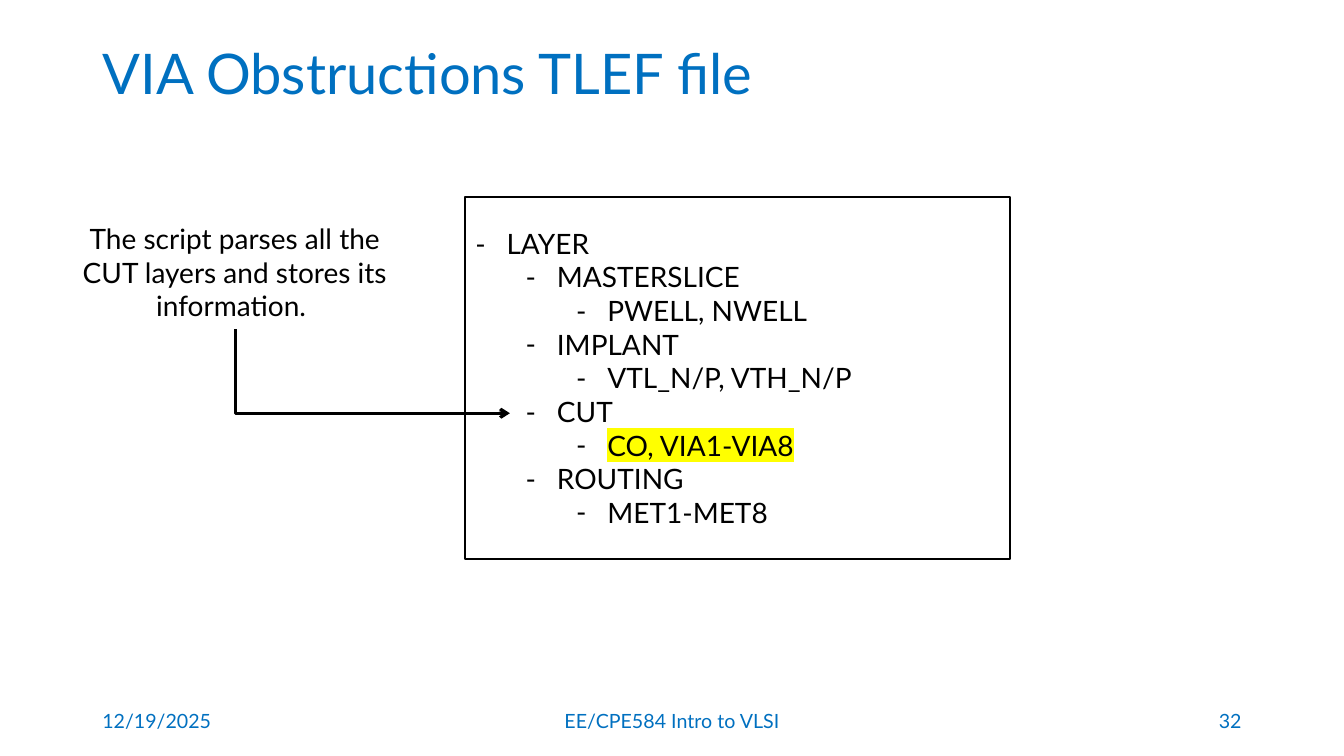
from lxml import etree
from pptx import Presentation
from pptx.dml.color import RGBColor
from pptx.enum.shapes import MSO_CONNECTOR, MSO_SHAPE
from pptx.enum.text import MSO_ANCHOR, PP_ALIGN
from pptx.oxml.ns import qn
from pptx.util import Inches, Pt

RECT = MSO_SHAPE.RECTANGLE
ELBOW = MSO_CONNECTOR.ELBOW
LEFT, CENTER, RIGHT = PP_ALIGN.LEFT, PP_ALIGN.CENTER, PP_ALIGN.RIGHT
TOP, MIDDLE = MSO_ANCHOR.TOP, MSO_ANCHOR.MIDDLE
BLUE = RGBColor(0x00, 0x70, 0xC0)
BLACK = RGBColor(0, 0, 0)
WHITE = RGBColor(255, 255, 255)
YELLOW = RGBColor(255, 255, 0)
COLS, ROWS = 160, 90
LAYERS = [
    ("MASTERSLICE", "PWELL, NWELL"),
    ("IMPLANT", "VTL_N/P, VTH_N/P"),
    ("CUT", "CO, VIA1-VIA8"),
    ("ROUTING", "MET1-MET8"),
]


def write(para, text, font="Lato", size=20, color=BLACK, align=LEFT, mark=None):
    """Put one formatted run of text into a paragraph."""
    para.alignment = align
    run = para.add_run()
    run.text = text
    run.font.size = Pt(size)
    run.font.color.rgb = color
    run.font.name = font
    if mark is not None:
        tint = etree.Element(qn("a:highlight"))
        etree.SubElement(tint, qn("a:srgbClr"), val=str(mark))
        run.font._element.find(qn("a:latin")).addprevious(tint)


class Deck:
    """Draws styled elements on a slide laid out as a grid of square cells."""

    def __init__(self):
        """Open a wide deck with one title-only slide."""
        self.show = Presentation()
        self.show.slide_width = Inches(13.33)
        self.show.slide_height = Inches(7.5)
        self.slide = self.show.slides.add_slide(self.show.slide_layouts[5])

    def cells(self, *spans):
        """Turn alternating column and row counts into lengths."""
        units = self.show.slide_width / COLS, self.show.slide_height / ROWS
        return [round(span * units[i % 2]) for i, span in enumerate(spans)]

    def title(self, text, *spot):
        """Fill and place the title."""
        head = self.slide.shapes.title
        head.left, head.top, head.width, head.height = self.cells(*spot)
        head.text_frame.vertical_anchor = MIDDLE
        para = head.text_frame.paragraphs[0]
        para.line_spacing = 0.9
        write(para, text, size=40, color=BLUE)

    def label(self, text, *spot, anchor=MIDDLE, **style):
        """Add a wrapped text box."""
        frame = self.slide.shapes.add_textbox(*self.cells(*spot)).text_frame
        frame.word_wrap = True
        frame.vertical_anchor = anchor
        write(frame.paragraphs[0], text, **style)

    def outline(self, items, *spot):
        """Add a framed list of (level, text, mark) items with dashes."""
        box = self.slide.shapes.add_shape(RECT, *self.cells(*spot))
        box.shadow.inherit = False
        box.fill.solid()
        box.fill.fore_color.rgb = WHITE
        box.line.color.rgb = BLACK
        box.line.width = Pt(1.5)
        frame = box.text_frame
        frame.vertical_anchor = MIDDLE
        for i, (level, text, mark) in enumerate(items):
            para = frame.add_paragraph() if i else frame.paragraphs[0]
            para.level = level
            props = para._p.get_or_add_pPr()
            props.set("marL", str(Inches(0.31 + level / 2)))
            props.set("indent", str(Inches(-0.31)))
            etree.SubElement(props, qn("a:buFont"), typeface="Lato")
            etree.SubElement(props, qn("a:buChar"), char="-")
            write(para, text, mark=mark)

    def arrow(self, x1, y1, x2, y2):
        """Add an arrow that runs down, then right."""
        midx, midy = (x1 + x2) / 2, (y1 + y2) / 2
        halfw, halfh = (y2 - y1) / 2, (x2 - x1) / 2
        ends = self.cells(midx + halfw, midy - halfh, midx - halfw, midy + halfh)
        link = self.slide.shapes.add_connector(ELBOW, *ends)
        link.line.color.rgb = BLACK
        link.line.width = Pt(2.25)
        props = link._element.spPr
        props.find(qn("a:xfrm")).set("rot", str(270 * 60000))
        props.find(qn("a:prstGeom")).set("prst", "bentConnector2")
        etree.SubElement(props.find(qn("a:ln")), qn("a:tailEnd"), type="arrow")
        etree.SubElement(props, qn("a:effectLst"))


def main():
    """Build and save the slide."""
    deck = Deck()
    deck.title("VIA Obstructions TLEF file", 11, 0.4, 138, 17.4)
    items = [(0, "LAYER", None)]
    for kind, names in LAYERS:
        items.append((1, kind, None))
        items.append((2, names, YELLOW if kind == "CUT" else None))
    deck.outline(items, 55.4, 23.4, 64.8, 43.1)
    deck.label("The script parses all the CUT layers and stores its information. ",
               7, 25.8, 41.9, 13.3, anchor=TOP, align=CENTER)
    deck.arrow(28, 39.2, 60.7, 49.2)
    for text, col, width, align in [
        ("12/19/2025", 11, 36, LEFT),
        ("EE/CPE584 Intro to VLSI", 53, 54, CENTER),
        ("32", 113, 36, RIGHT),
    ]:
        deck.label(text, col, 83.4, width, 4.8, size=14, color=BLUE, align=align)
    deck.show.save("out.pptx")


if __name__ == "__main__":
    main()
